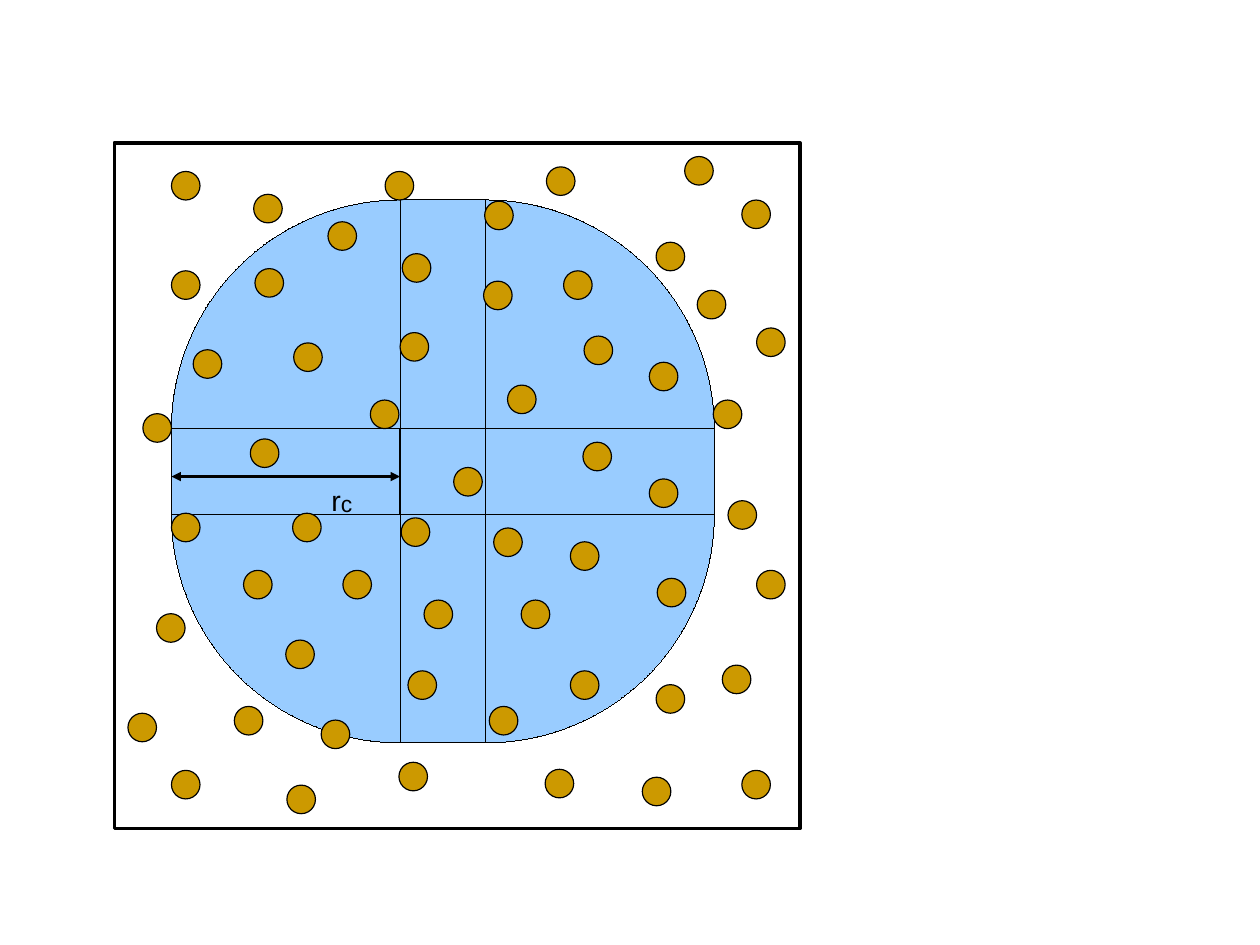
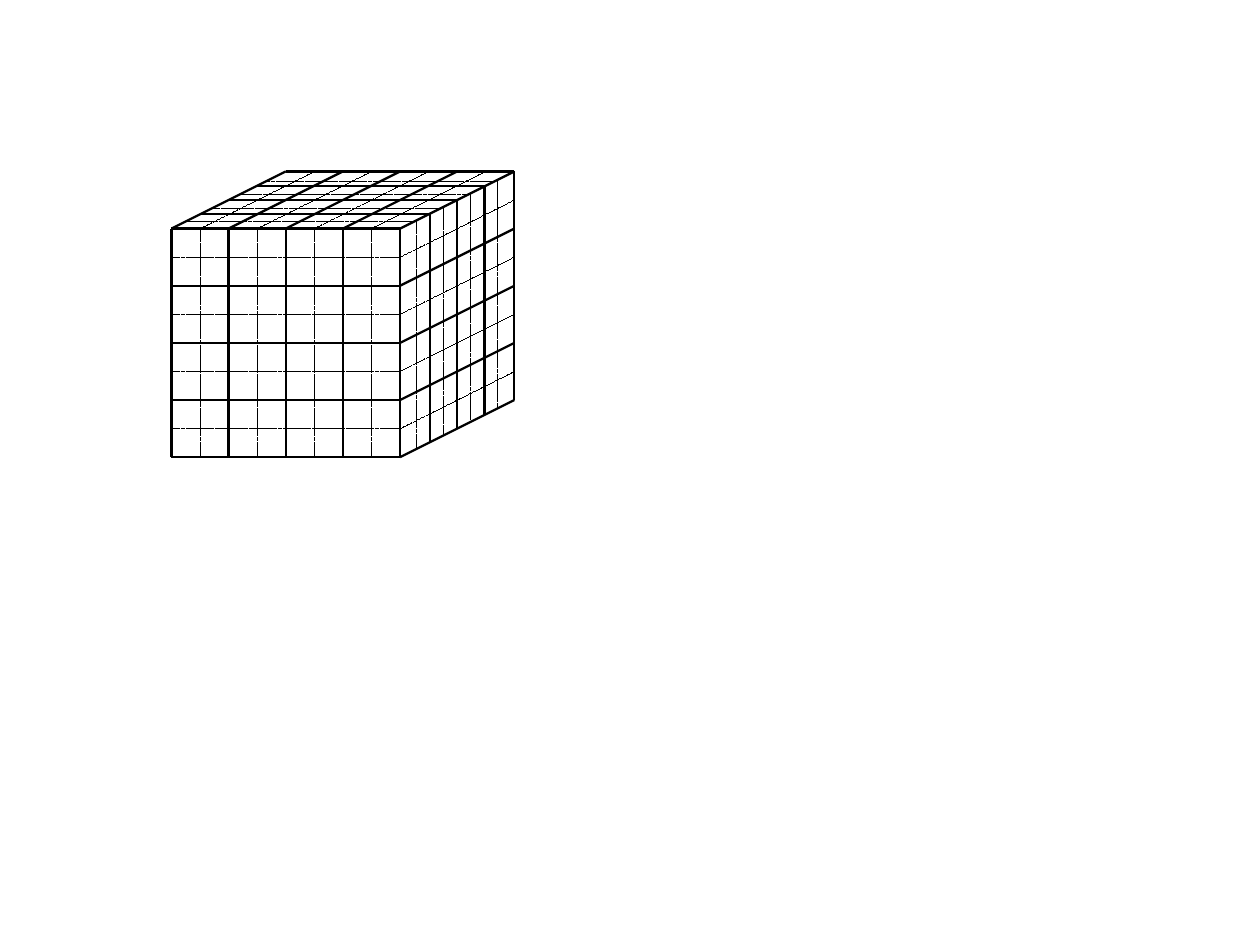
import pptx
import pptx.dml.color
import pptx.enum.dml
import pptx.enum.shapes
import pptx.enum.text
import pptx.util
from pptx.oxml.xmlchemy import OxmlElement

Pt = pptx.util.Pt
SHAPES = pptx.enum.shapes.MSO_SHAPE

BLACK, SKY, GOLD = "000000", "99CCFF", "CC9900"
HAIRLINE, THIN, MEDIUM, THICK = 0.01, 0.75, 1.45, 2.15

RADIUS, CELL = 144, 54
REACH_LEFT, REACH_TOP = 108, 126
PARTICLE_SIZE = 18
PARTICLES = [
    (108, 108), (121.7, 220.3), (108, 170.6), (160.6, 169.2), (206.6, 139.7),
    (185, 216), (355, 170.6), (233.3, 252), (305.3, 126.7), (319.7, 242.6),
    (252.7, 326.2), (409, 228.2), (311, 332.6), (359.3, 341.3), (304.6, 177.1),
    (414, 364.3), (455, 419), (413.3, 431.3), (404.6, 489.6), (308.2, 445),
    (467.3, 485.3), (108, 323.3), (90, 260.6), (157.7, 276.5), (413.3, 152.6),
    (184.3, 323.3), (153.4, 359.3), (216, 359.3), (202.3, 453.6), (267.1, 378),
    (359.3, 422.6), (367.2, 278.6), (449.3, 252), (458.6, 315.4), (467.3, 126),
    (98.6, 386.6), (147.6, 445), (108, 485.3), (257, 422.6), (343.4, 484.6),
    (251.3, 480.2), (409, 301.7), (180, 403.2), (328.3, 378), (367.9, 211.7),
    (242.6, 108), (180.7, 494.6), (431.3, 98.6), (476.6, 359.3), (476.6, 206.6),
    (80.6, 449.3), (344.2, 105.1), (252, 209.5), (253.4, 159.8), (159.8, 122.4),
    (439.2, 182.9), (285.8, 294.5),
]

CUBE_CORNER = (108, 144)
ACROSS, DOWN, BACK = (144, 0), (0, 144), (72, -36)
EVEN_STEPS = [0, 0.25, 0.5, 0.75, 1]
EVEN_HALVES = [0.125, 0.375, 0.625, 0.875]
DEPTH_STEPS = [0.26, 0.5, 0.74, 1]
TOP_HALVES = [0.12, 0.35, 0.59, 0.83]
SIDE_HALVES = [0.14, 0.38, 0.62, 0.85]


def color(hex_code):
    """Turn a hex string into a colour."""
    return pptx.dml.color.RGBColor.from_string(hex_code)


def add_form(slide, kind, left, top, width, height, fill=None, weight=HAIRLINE):
    """Add a preset shape with a black outline."""
    form = slide.shapes.add_shape(kind, Pt(left), Pt(top), Pt(width), Pt(height))
    form.shadow.inherit = False
    if fill:
        form.fill.solid()
        form.fill.fore_color.rgb = color(fill)
    else:
        form.fill.background()
    form.line.color.rgb = color(BLACK)
    form.line.width = Pt(weight)
    return form


def add_line(slide, start, end, weight=MEDIUM, dashed=False, arrows=False):
    """Add a straight black line, optionally dashed or with two arrowheads."""
    line = slide.shapes.add_connector(
        pptx.enum.shapes.MSO_CONNECTOR.STRAIGHT, *[Pt(value) for value in (*start, *end)])
    line.line.color.rgb = color(BLACK)
    line.line.width = Pt(weight)
    if dashed:
        line.line.dash_style = pptx.enum.dml.MSO_LINE.SQUARE_DOT
    if arrows:
        for tag in ("a:headEnd", "a:tailEnd"):
            arrowhead = OxmlElement(tag)
            arrowhead.set("type", "triangle")
            line.line._get_or_add_ln().append(arrowhead)
    line._element.spPr.append(OxmlElement("a:effectLst"))


def add_run(paragraph, text, size, font="Arial", fill=BLACK, baseline=None):
    """Add formatted text to a paragraph."""
    run = paragraph.add_run()
    run.text = text
    run.font.size = Pt(size)
    run.font.name = font
    run.font.color.rgb = color(fill)
    if baseline is not None:
        run.font._element.set("baseline", str(baseline))


def add_radius_label(slide, left, top, width, height):
    """Add the cutoff radius symbol with its subscript."""
    label = slide.shapes.add_textbox(Pt(left), Pt(top), Pt(width), Pt(height))
    frame = label.text_frame
    frame.word_wrap = False
    frame.auto_size = pptx.enum.text.MSO_AUTO_SIZE.SHAPE_TO_FIT_TEXT
    add_run(frame.paragraphs[0], "r", 18)
    add_run(frame.paragraphs[0], "c", 24.8, baseline=-4000)


def add_reach(slide):
    """Draw the rounded region within the cutoff radius of the central cell."""
    for column, row, angle in ((0, 0, 180), (0, 1, 90), (1, 1, 0), (1, 0, 270)):
        sector = add_form(slide, SHAPES.PIE, REACH_LEFT + column * CELL,
                          REACH_TOP + row * CELL, 2 * RADIUS, 2 * RADIUS, SKY)
        sector.adjustments[0] = angle * 0.6
        sector.adjustments[1] = (angle + 90) % 360 * 0.6
    spans = [(0, RADIUS), (RADIUS, CELL), (RADIUS + CELL, RADIUS)]
    for column, (x, width) in enumerate(spans):
        for row, (y, height) in enumerate(spans):
            if 1 in (column, row):
                add_form(slide, SHAPES.RECTANGLE, REACH_LEFT + x, REACH_TOP + y,
                         width, height, SKY)


def add_cutoff_slide(slide):
    """Draw the particles in a box and the region around one cell."""
    add_reach(slide)
    add_form(slide, SHAPES.RECTANGLE, 72, 90, 432, 432, weight=THICK)
    for left, top in PARTICLES:
        add_form(slide, SHAPES.OVAL, left, top, PARTICLE_SIZE, PARTICLE_SIZE, GOLD, THIN)
    add_line(slide, (REACH_LEFT + RADIUS, 300.2), (REACH_LEFT, 300.2), arrows=True)
    add_radius_label(slide, 201.6, 293.8, 27.4, 30.2)


def shift(point, direction, step=1):
    """Move a point by a share of a direction."""
    return tuple(p + d * step for p, d in zip(point, direction))


def add_rulings(slide, corner, along, spread, steps, halves):
    """Rule one face with solid lines at steps and dashed lines at halves."""
    for positions, weight, dashed in ((steps, MEDIUM, False), (halves, HAIRLINE, True)):
        for step in positions:
            start = shift(corner, spread, step)
            add_line(slide, start, shift(start, along), weight, dashed)


def add_cube_slide(slide):
    """Draw the cube divided into cells and half cells."""
    right_corner = shift(CUBE_CORNER, ACROSS)
    add_rulings(slide, CUBE_CORNER, ACROSS, DOWN, EVEN_STEPS, EVEN_HALVES)
    add_rulings(slide, CUBE_CORNER, DOWN, ACROSS, EVEN_STEPS, EVEN_HALVES)
    add_rulings(slide, CUBE_CORNER, BACK, ACROSS, EVEN_STEPS, EVEN_HALVES)
    add_rulings(slide, CUBE_CORNER, ACROSS, BACK, DEPTH_STEPS, TOP_HALVES)
    add_rulings(slide, right_corner, BACK, DOWN, EVEN_STEPS[1:], EVEN_HALVES)
    add_rulings(slide, right_corner, DOWN, BACK, DEPTH_STEPS, SIDE_HALVES)


def main():
    """Build both slides and save them."""
    deck = pptx.Presentation()
    deck.slide_width, deck.slide_height = Pt(793.7), Pt(595.3)
    blank = deck.slide_layouts[6]
    for draw in (add_cutoff_slide, add_cube_slide):
        draw(deck.slides.add_slide(blank))
    deck.save("out.pptx")


if __name__ == "__main__":
    main()
